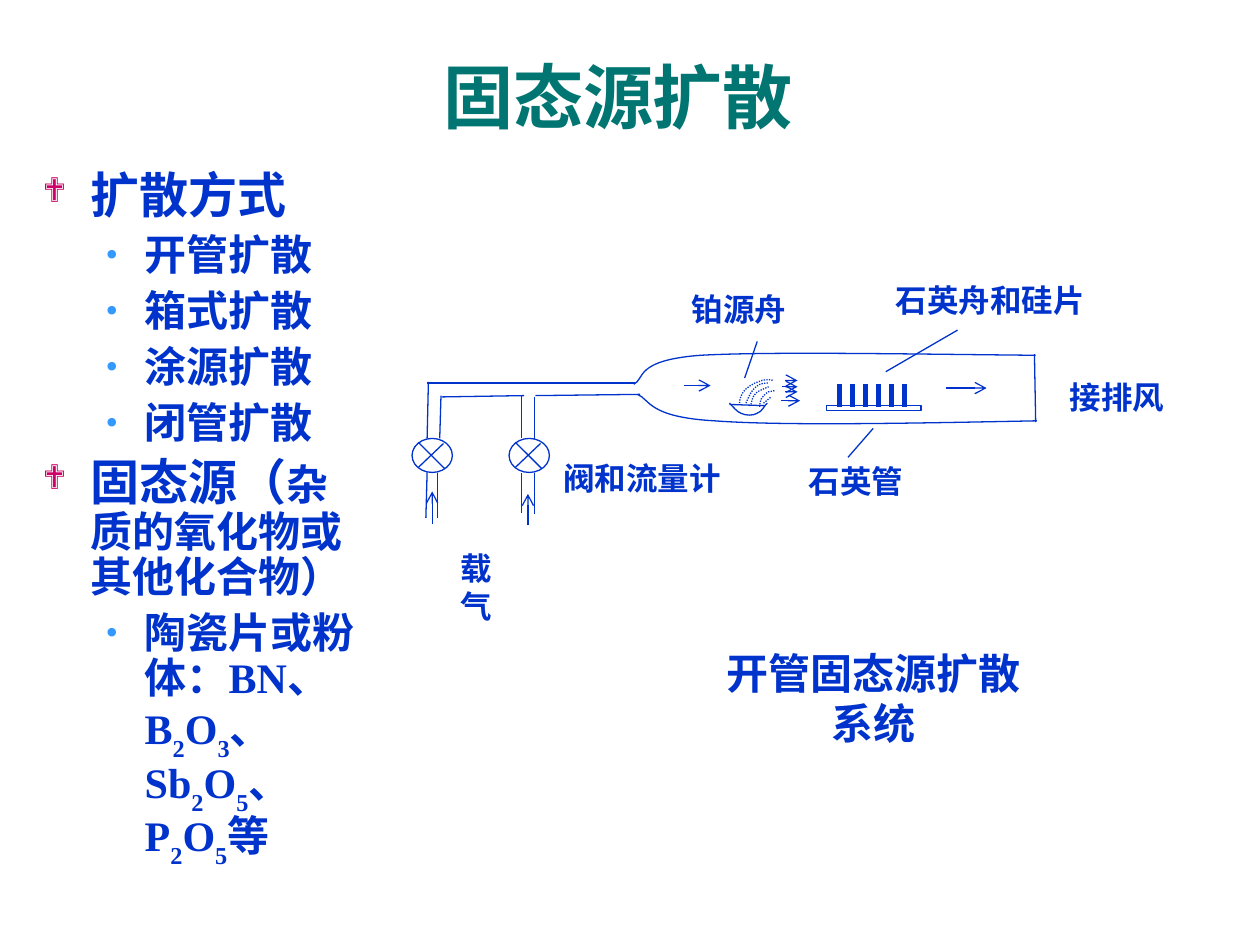
import itertools

import pptx
import pptx.dml.color
import pptx.enum.dml
import pptx.enum.shapes
import pptx.enum.text
import pptx.oxml
import pptx.oxml.ns
import pptx.util
from pptx.util import Inches

COLORS = {"title": "007572", "ink": "0033CC", "diamond": "CC0066", "dot": "3399FF", "paper": "FFFFFF"}
BULLETS = [
    {"char": "❖", "font": "Wingdings", "color": "diamond", "size": 70, "margin": 0.38, "hang": 0.38},
    {"char": "•", "font": "Times New Roman", "color": "dot", "size": 85, "margin": 0.81, "hang": 0.31},
]
OUTLINE = [
    (0, [("扩散方式", 28)]),
    (1, [("开管扩散", 24)]),
    (1, [("箱式扩散", 24)]),
    (1, [("涂源扩散", 24)]),
    (1, [("闭管扩散", 24)]),
    (0, [("固态源（", 28), ("杂质的氧化物或其他化合物）", 24)]),
    (1, [("陶瓷片或粉体：BN、B2O3、Sb2O5、P2O5等", 24)]),
]
LABELS = [
    ("石英管", 6.32, 3.62, 1.21, 0.4),
    ("接排风", 8.39, 2.95, 1.14, 0.4),
    ("阀和流量计", 4.37, 3.59, 1.52, 0.4),
    ("载气", 3.56, 4.31, 0.66, 0.7),
    ("铂源舟", 5.39, 2.25, 1.1, 0.4),
    ("石英舟和硅片", 7.01, 2.18, 1.84, 0.4),
]
PIPES = [
    (8.21, 2.81, 8.22, 3.35), (5.04, 3.04, 3.39, 3.04), (5.08, 3.13, 4.25, 3.14),
    (3.4, 3.03, 3.39, 3.48), (4.16, 3.14, 3.51, 3.15), (3.5, 3.14, 3.49, 3.48),
    (4.14, 3.14, 4.14, 3.48), (4.24, 3.15, 4.24, 3.51), (3.39, 3.75, 3.38, 4.11),
    (3.47, 3.75, 3.47, 4.11), (4.14, 3.75, 4.14, 4.07), (4.24, 3.75, 4.24, 4.08),
]
LEADERS = [(7.6, 2.62, 7.03, 2.95), (6.01, 2.71, 5.91, 3), (6.73, 3.63, 6.93, 3.4)]
FLOWS = [
    (6.23, 3.02, 6.33, 3.02), (6.21, 3.07, 6.33, 3.07), (6.23, 3.11, 6.33, 3.11),
    (6.2, 3.18, 6.35, 3.18), (3.43, 4.16, 3.43, 3.9), (4.19, 4.17, 4.19, 3.92),
    (5.43, 3.06, 5.64, 3.06), (7.51, 3.08, 7.83, 3.08),
]
TUBE_WALLS = [
    [(8.22, 2.82), (7.16, 2.81), (6.1, 2.79), (5.56, 2.82), (5.03, 2.86), (5.12, 3.01), (5.03, 3.05)],
    [(8.23, 3.34), (7.22, 3.36), (6.2, 3.38), (5.67, 3.34), (5.14, 3.31), (5.16, 3.17), (5.06, 3.13)],
]
SOURCE_BOAT = [(5.79, 3.2), (5.82, 3.23), (5.85, 3.27), (5.88, 3.28), (5.92, 3.3), (5.98, 3.3),
               (6.01, 3.28), (6.05, 3.27), (6.07, 3.21), (6.09, 3.2)]
VAPOURS = [
    [(5.87, 3.2), (5.87, 3.17), (5.88, 3.14), (5.9, 3.11), (5.92, 3.08), (5.98, 3.04),
     (6.02, 3.03), (6.06, 3.01), (6.1, 3.01), (6.14, 3.02)],
    [(6.03, 3.23), (6.03, 3.21), (6.03, 3.19), (6.04, 3.17), (6.05, 3.15), (6.08, 3.12),
     (6.1, 3.11), (6.12, 3.1), (6.13, 3.1), (6.15, 3.1)],
    [(5.92, 3.2), (5.94, 3.15), (5.97, 3.09), (6, 3.07), (6.03, 3.04), (6.08, 3.04), (6.1, 3.04)],
    [(5.96, 3.21), (5.97, 3.18), (5.97, 3.15), (6, 3.12), (6.02, 3.1), (6.08, 3.08), (6.1, 3.07)],
]


def rgb(name):
    return pptx.dml.color.RGBColor.from_string(COLORS[name])


def add_element(parent, tag, **attributes):
    child = parent.makeelement(pptx.oxml.ns.qn(tag), attributes)
    parent.append(child)
    return child


def style_font(font, size, name, color="ink"):
    font.size = pptx.util.Pt(size)
    font.name = name
    font.bold = True
    font.color.rgb = rgb(color)


def style_line(line, width=0.75, dotted=False):
    line.color.rgb = rgb("ink")
    line.width = pptx.util.Pt(width)
    if dotted:
        line.dash_style = pptx.enum.dml.MSO_LINE.ROUND_DOT


def add_title(page, text):
    title = page.shapes.title
    title.left, title.top, title.width, title.height = map(Inches, (0.59, 0.36, 8.63, 0.79))
    title.text_frame.text = text
    title.text_frame.vertical_anchor = pptx.enum.text.MSO_ANCHOR.MIDDLE
    para = title.text_frame.paragraphs[0]
    para.alignment = pptx.enum.text.PP_ALIGN.CENTER
    style_font(para.runs[0].font, 40, "Times New Roman", "title")


def add_label(page, text, left, top, width, height, size=18, align=None):
    box = page.shapes.add_textbox(*map(Inches, (left, top, width, height)))
    box.text_frame.word_wrap = True
    box.text_frame.text = text
    para = box.text_frame.paragraphs[0]
    para.alignment = align
    style_font(para.runs[0].font, size, "Lato")


def set_bullet(para, level):
    bullet = BULLETS[level]
    properties = para._p.get_or_add_pPr()
    properties.set("marL", str(Inches(bullet["margin"])))
    properties.set("indent", str(-Inches(bullet["hang"])))
    color = add_element(properties, "a:buClr")
    add_element(color, "a:srgbClr", val=COLORS[bullet["color"]])
    add_element(properties, "a:buSzPct", val=str(bullet["size"] * 1000))
    add_element(properties, "a:buFont", typeface=bullet["font"])
    add_element(properties, "a:buChar", char=bullet["char"])
    para.level = level


def add_spans(para, text, size):
    for is_index, letters in itertools.groupby(text, str.isdigit):
        span = para.add_run()
        span.text = "".join(letters)
        style_font(span.font, size, "Times New Roman")
        if is_index:
            span._r.get_or_add_rPr().set("baseline", "-30000")


def add_outline(page):
    box = page.shapes.add_textbox(*map(Inches, (0.24, 1.31, 2.72, 5.9)))
    frame = box.text_frame
    frame.word_wrap = True
    for index, (level, parts) in enumerate(OUTLINE):
        para = frame.add_paragraph() if index else frame.paragraphs[0]
        set_bullet(para, level)
        para.line_spacing = 0.9
        para.space_before = pptx.util.Pt(6 if index else 0)
        for text, size in parts:
            add_spans(para, text, size)


def add_line(page, ends, width=0.75, dotted=False, arrow=False):
    line = page.shapes.add_connector(pptx.enum.shapes.MSO_CONNECTOR.STRAIGHT, *map(Inches, ends))
    style_line(line.line, width, dotted)
    if arrow:
        add_element(line.line._get_or_add_ln(), "a:tailEnd", type="arrow")
    add_element(line._element.spPr, "a:effectLst")


def bend_segments(curve):
    segments = list(curve._element.spPr.iter(pptx.oxml.ns.qn("a:lnTo")))
    outline = segments[0].getparent()
    for start in range(0, len(segments), 3):
        bend = add_element(outline, "a:cubicBezTo")
        for segment in segments[start:start + 3]:
            bend.append(segment[0])
            outline.remove(segment)


def add_curve(page, knots, dotted=False):
    points = [tuple(map(Inches, knot)) for knot in knots]
    builder = page.shapes.build_freeform(*points[0])
    builder.add_line_segments(points[1:], close=False)
    curve = builder.convert_to_shape()
    bend_segments(curve)
    curve.shadow.inherit = False
    curve.fill.background()
    style_line(curve.line, dotted=dotted)


def add_body(page, kind, left, top, width, height):
    body = page.shapes.add_shape(kind, *map(Inches, (left, top, width, height)))
    body.shadow.inherit = False
    body.fill.solid()
    body.fill.fore_color.rgb = rgb("paper")
    style_line(body.line)


def add_valve(page, left, top):
    add_body(page, pptx.enum.shapes.MSO_SHAPE.OVAL, left, top, 0.32, 0.27)
    add_line(page, (left + 0.05, top + 0.03, left + 0.26, top + 0.24))
    add_line(page, (left + 0.25, top + 0.04, left + 0.05, top + 0.23))


def add_wafer_boat(page):
    add_body(page, pptx.enum.shapes.MSO_SHAPE.RECTANGLE, 6.56, 3.22, 0.75, 0.04)
    for index in range(6):
        wafer = 6.66 + index * 0.52 / 5
        add_line(page, (wafer, 3.05, wafer, 3.23), width=3)


def add_furnace(page):
    for wall in TUBE_WALLS:
        add_curve(page, wall)
    for ends in PIPES + LEADERS:
        add_line(page, ends)
    for left in (3.27, 4.04):
        add_valve(page, left, 3.48)
    add_wafer_boat(page)
    add_curve(page, SOURCE_BOAT)
    add_line(page, (5.79, 3.21, 6.07, 3.22))
    for vapour in VAPOURS:
        add_curve(page, vapour, dotted=True)
    add_line(page, (6.06, 3.2, 6.12, 3.15), dotted=True)
    for ends in FLOWS:
        add_line(page, ends, arrow=True)


def main():
    deck = pptx.Presentation()
    deck.slide_width, deck.slide_height = Inches(10), Inches(7.5)
    page = deck.slides.add_slide(deck.slide_layouts[5])
    add_title(page, "固态源扩散")
    add_outline(page)
    add_furnace(page)
    for label in LABELS:
        add_label(page, *label)
    add_label(page, "开管固态源扩散系统", 5.63, 5.09, 2.6, 0.9, 24, pptx.enum.text.PP_ALIGN.CENTER)
    deck.save("out.pptx")


if __name__ == "__main__":
    main()
